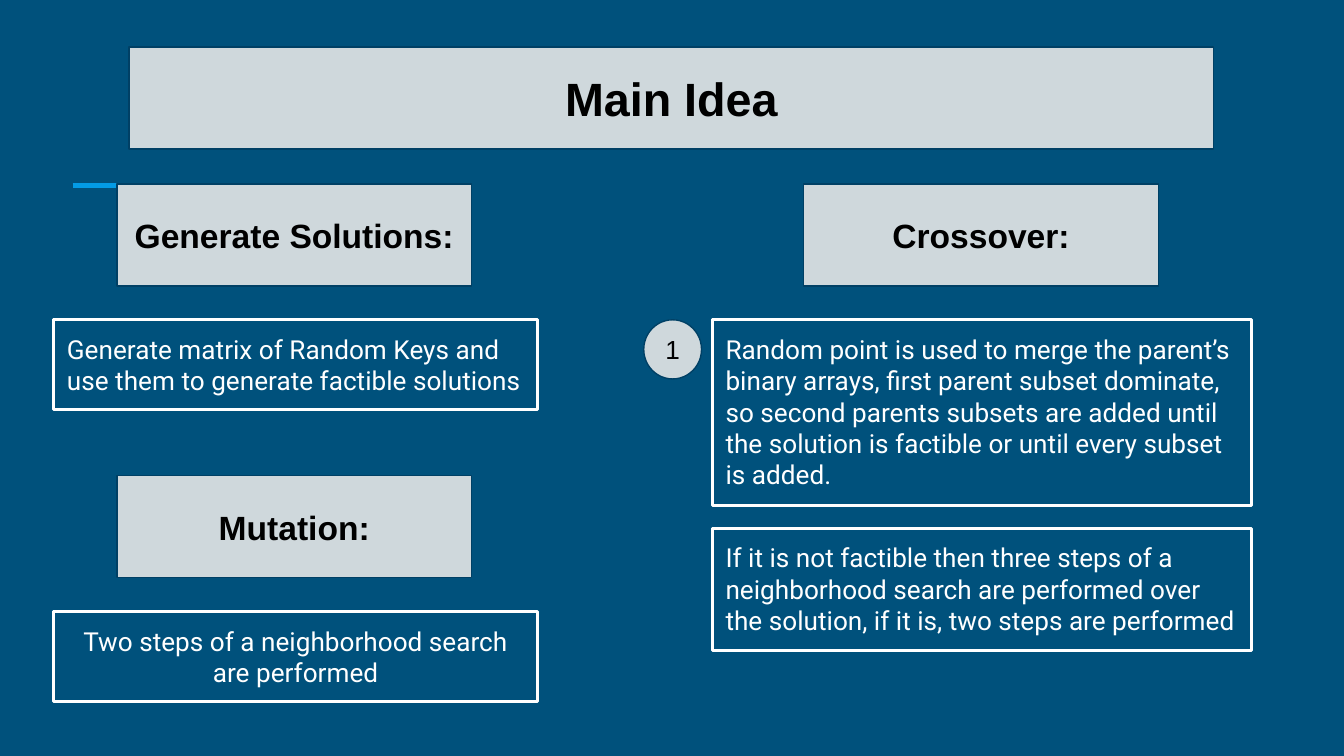
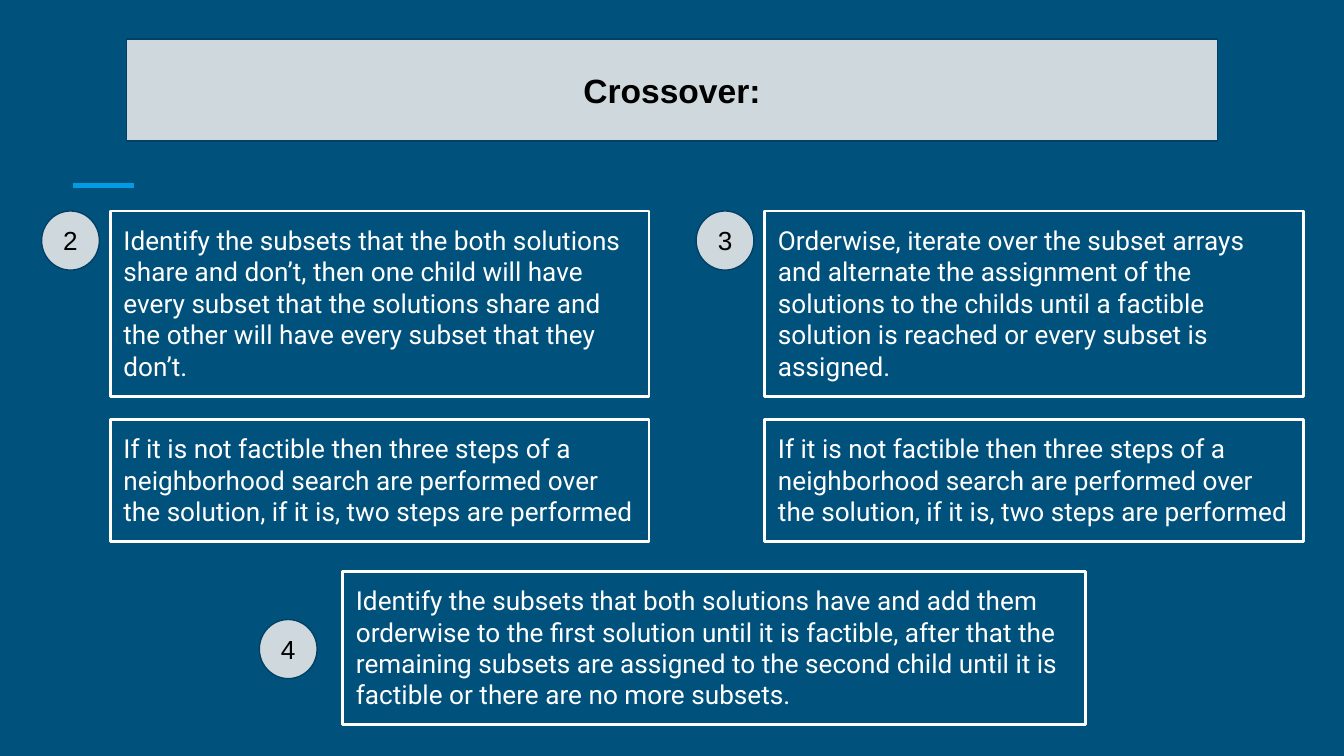
"""Build two slides that explain the steps of a genetic algorithm."""
from dataclasses import dataclass

from pptx import Presentation
from pptx import util as u
from pptx.dml.color import RGBColor
from pptx.enum import shapes, text
from lxml import etree

A_NS = "http://schemas.openxmlformats.org/drawingml/2006/main"


@dataclass(frozen=True)
class Theme:
    """Colours, fonts, type sizes and line widths of the deck."""
    background: str = "00517C"
    accent: str = "039BE5"
    panel: str = "CFD8DC"
    panel_line: str = "004065"
    dark: str = "000000"
    light: str = "FFFFFF"
    head_font: str = "Arial"
    body_font: str = "Roboto"
    title_size: int = 25
    heading_size: int = 18
    body_size: int = 14
    panel_width: float = 0.75
    note_width: float = 1.5
    accent_width: float = 3


THEME = Theme()
LEFT, CENTER = text.PP_ALIGN.LEFT, text.PP_ALIGN.CENTER
TOP, MIDDLE = text.MSO_ANCHOR.TOP, text.MSO_ANCHOR.MIDDLE
FOLLOW_UP = ("If it is not factible then three steps of a neighborhood search are "
             "performed over the solution, if it is, two steps are performed")


def rgb(value):
    """Return a colour object for a hex string."""
    return RGBColor.from_string(value)


def add_box(page, kind, left, top, width, height, fill, line, line_width):
    """Add a preset shape with its fill and outline."""
    box = page.shapes.add_shape(kind, *map(u.Inches, (left, top, width, height)))
    box.shadow.inherit = False
    if fill:
        box.fill.solid()
        box.fill.fore_color.rgb = rgb(fill)
    else:
        box.fill.background()
    box.line.color.rgb = rgb(line)
    box.line.width = u.Pt(line_width)
    return box


def write(box, words, font, size, colour, bold=False, align=LEFT, anchor=MIDDLE):
    """Write one paragraph into a box."""
    frame = box.text_frame
    frame.word_wrap = True
    frame.vertical_anchor = anchor
    frame.margin_left = frame.margin_right = u.Inches(0.1)
    frame.margin_top = frame.margin_bottom = u.Inches(0.1)
    para = frame.paragraphs[0]
    para.alignment = align
    span = para.add_run()
    span.text = words
    span.font.name = font
    span.font.size = u.Pt(size)
    span.font.bold = bold
    span.font.color.rgb = rgb(colour)


def add_heading(page, words, left, top, width=2.64, size=THEME.heading_size):
    """Add a grey band with a bold centred heading."""
    box = add_box(page, shapes.MSO_SHAPE.RECTANGLE, left, top, width, 0.76,
                  THEME.panel, THEME.panel_line, THEME.panel_width)
    write(box, words, THEME.head_font, size, THEME.dark, True, CENTER)


def add_note(page, words, left, top, width, height, align=LEFT):
    """Add an outlined box of body text."""
    box = add_box(page, shapes.MSO_SHAPE.RECTANGLE, left, top, width, height,
                  None, THEME.light, THEME.note_width)
    write(box, words, THEME.body_font, THEME.body_size, THEME.light,
          align=align, anchor=TOP)
    box.text_frame.auto_size = text.MSO_AUTO_SIZE.SHAPE_TO_FIT_TEXT


def add_badge(page, number, left, top):
    """Add a round step number."""
    box = add_box(page, shapes.MSO_SHAPE.OVAL, left, top, 0.43, 0.44,
                  THEME.panel, THEME.panel_line, THEME.panel_width)
    write(box, str(number), THEME.head_font, THEME.body_size, THEME.dark)


def add_section(page, heading, words, top, align=LEFT):
    """Add a heading with a short note below it."""
    add_heading(page, heading, 0.87, top)
    add_note(page, words, 0.4, top + 1.01, 3.6, 0.67, align)


def add_step(page, number, words, left, top):
    """Add a numbered step and the search that follows it."""
    add_badge(page, number, left - 0.51, top)
    add_note(page, words, left, top, 4.01, 1.38)
    add_note(page, FOLLOW_UP, left, top + 1.55, 4.01, 0.91)


def add_page(deck):
    """Add a blank page with the shared background and accent line."""
    page = deck.slides.add_slide(deck.slide_layouts[6])
    page.background.fill.solid()
    page.background.fill.fore_color.rgb = rgb(THEME.background)
    accent = page.shapes.add_connector(
        shapes.MSO_CONNECTOR.STRAIGHT, *map(u.Inches, (0.54, 1.38, 1, 1.38)))
    accent.line.color.rgb = rgb(THEME.accent)
    accent.line.width = u.Pt(THEME.accent_width)
    etree.SubElement(accent.element.spPr, f"{{{A_NS}}}effectLst")
    return page


def build_main_idea(deck):
    """Build the overview of the algorithm."""
    page = add_page(deck)
    add_heading(page, "Main Idea", 0.96, 0.35, 8.07, THEME.title_size)
    add_section(page, "Generate Solutions:",
                "Generate matrix of Random Keys and use them to generate "
                "factible solutions", 1.37)
    add_section(page, "Mutation:",
                "Two steps of a neighborhood search are performed", 3.54, CENTER)
    add_heading(page, "Crossover:", 5.98, 1.37)
    add_step(page, 1,
             "Random point is used to merge the parent’s binary arrays, first "
             "parent subset dominate, so second parents subsets are added until "
             "the solution is factible or until every subset is added.", 5.3, 2.38)


def build_crossover(deck):
    """Build the remaining crossover steps."""
    page = add_page(deck)
    add_heading(page, "Crossover:", 0.94, 0.29, 8.12)
    add_step(page, 2,
             "Identify the subsets that the both solutions share and don’t, then "
             "one child will have every subset that the solutions share and the "
             "other will have every subset that they don’t.", 0.82, 1.57)
    add_step(page, 3,
             "Orderwise, iterate over the subset arrays and alternate the "
             "assignment of the solutions to the childs until a factible solution "
             "is reached or every subset is assigned.", 5.69, 1.57)
    add_badge(page, 4, 1.93, 4.61)
    add_note(page,
             "Identify the subsets that both solutions have and add them orderwise "
             "to the first solution until it is factible, after that the remaining "
             "subsets are assigned to the second child until it is factible or "
             "there are no more subsets.", 2.55, 4.25, 5.53, 1.14)


def main():
    """Build and save the deck."""
    deck = Presentation()
    deck.slide_width = u.Inches(10)
    deck.slide_height = u.Inches(10 * 9 / 16)
    build_main_idea(deck)
    build_crossover(deck)
    deck.save("out.pptx")


if __name__ == "__main__":
    main()
